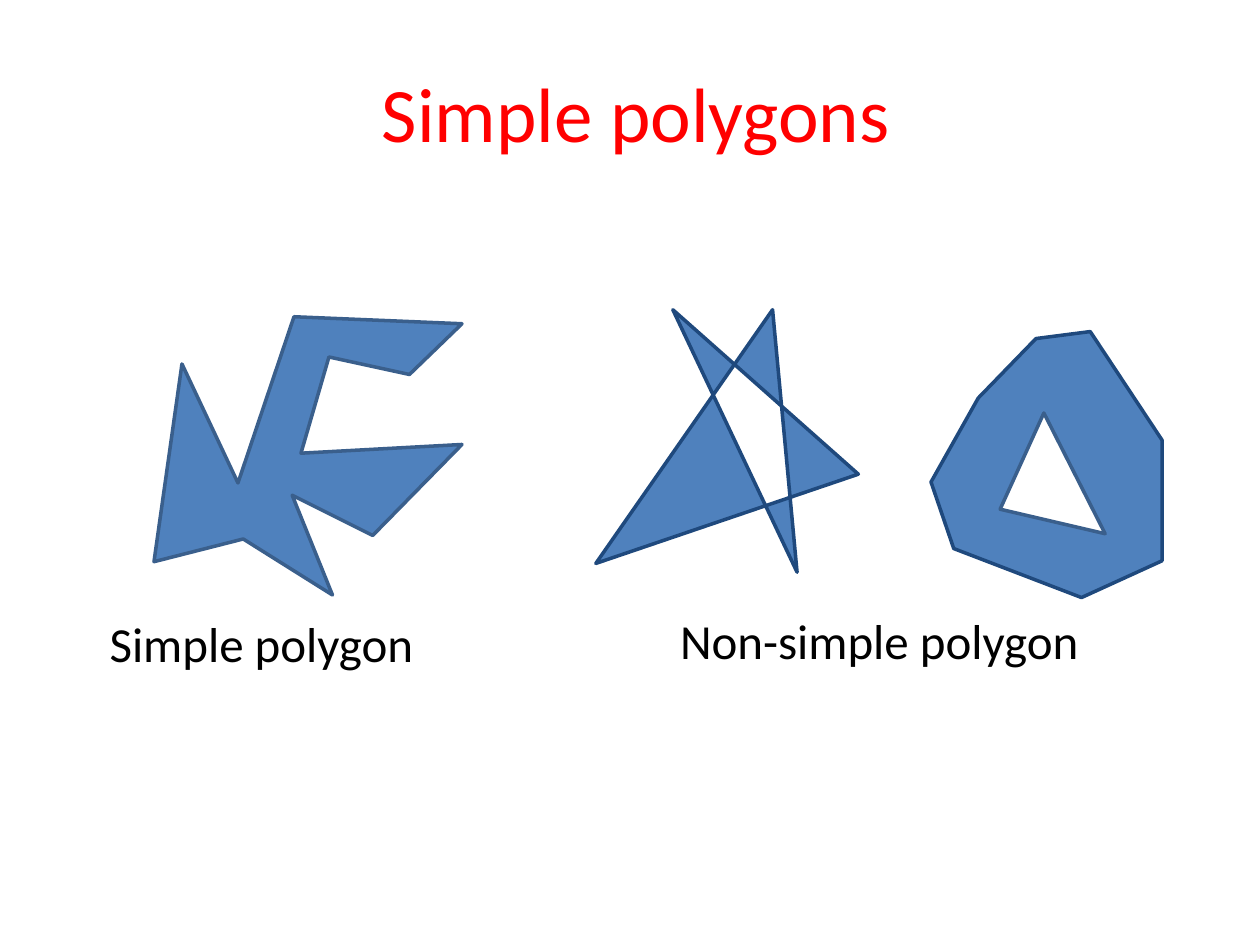
from pptx import Presentation, util as u
from pptx.dml.color import RGBColor
from pptx.enum import text

Pt = u.Pt
FONT = "Calibri"
COLORS = {"title": "FF0000", "text": "000000", "polygon": "4F81BD",
          "hole": "FFFFFF", "soft_edge": "3A5F8C", "dark_edge": "1F497D"}

SIMPLE = [(0, 140), (16, 27), (48, 95), (80, 0), (176, 4), (146, 33), (100, 23),
          (84, 78), (176, 73), (125, 125), (79, 102), (102, 159), (51, 127)]
CROSSING = [(0, 145), (101, 0), (115, 150), (44, 0), (150, 94)]
RING = [(132, 62), (91, 0), (60, 4), (27, 38), (0, 86), (13, 124), (86, 152), (132, 131)]
HOLE = [(25, 0), (0, 55), (60, 69)]


def color(name):
    """Return the named colour."""
    return RGBColor.from_string(COLORS[name])


def format_text(p, size, name):
    """Set the font, size and colour of a paragraph."""
    p.font.name, p.font.size = FONT, Pt(size)
    p.font.color.rgb = color(name)


def add_polygon(s, left, top, points, fill, edge):
    """Draw a closed polygon from corners relative to left and top."""
    builder = s.shapes.build_freeform(*points[0], scale=Pt(1))
    builder.add_line_segments(points[1:], close=True)
    sp = builder.convert_to_shape(Pt(left), Pt(top))
    sp.shadow.inherit = False
    sp.fill.solid()
    sp.fill.fore_color.rgb = color(fill)
    sp.line.color.rgb = color(edge)
    sp.line.width = Pt(2)


def add_caption(s, left, top, width, caption):
    """Write a one-line caption."""
    tf = s.shapes.add_textbox(Pt(left), Pt(top), Pt(width), Pt(41)).text_frame
    tf.word_wrap = False
    tf.auto_size = text.MSO_AUTO_SIZE.SHAPE_TO_FIT_TEXT
    p = tf.paragraphs[0]
    p.text = caption
    format_text(p, 28, "text")


def add_title(s, left, top, width, height):
    """Place and format the slide title."""
    sp = s.shapes.title
    sp.left, sp.top, sp.width, sp.height = map(Pt, (left, top, width, height))
    tf = sp.text_frame
    tf.vertical_anchor = text.MSO_ANCHOR.MIDDLE
    p = tf.paragraphs[0]
    p.text = "Simple polygons"
    p.alignment = text.PP_ALIGN.CENTER
    format_text(p, 44, "title")


def add_simple_region(s, left, top):
    """Draw the simple polygon above its caption."""
    add_polygon(s, left + 32.5, top, SIMPLE, "polygon", "soft_edge")
    add_caption(s, left, top + 166, 190, "Simple polygon")


def add_non_simple_region(s, left, top):
    """Draw the crossing polygon and the one with a hole above their caption."""
    add_polygon(s, left, top, CROSSING, "polygon", "dark_edge")
    add_polygon(s, left + 191.5, top + 12.5, RING, "polygon", "dark_edge")
    add_polygon(s, left + 231, top + 59, HOLE, "hole", "soft_edge")
    add_caption(s, left + 41, top + 168.5, 245, "Non-simple polygon")


def main():
    """Build and save the slide."""
    prs = Presentation()
    prs.slide_width, prs.slide_height = Pt(720), Pt(540)
    s = prs.slides.add_slide(prs.slide_layouts[5])
    add_title(s, 39.5, 19, 648, 90)
    add_simple_region(s, 55.5, 181)
    add_non_simple_region(s, 340.5, 177)
    prs.save("out.pptx")


if __name__ == "__main__":
    main()
